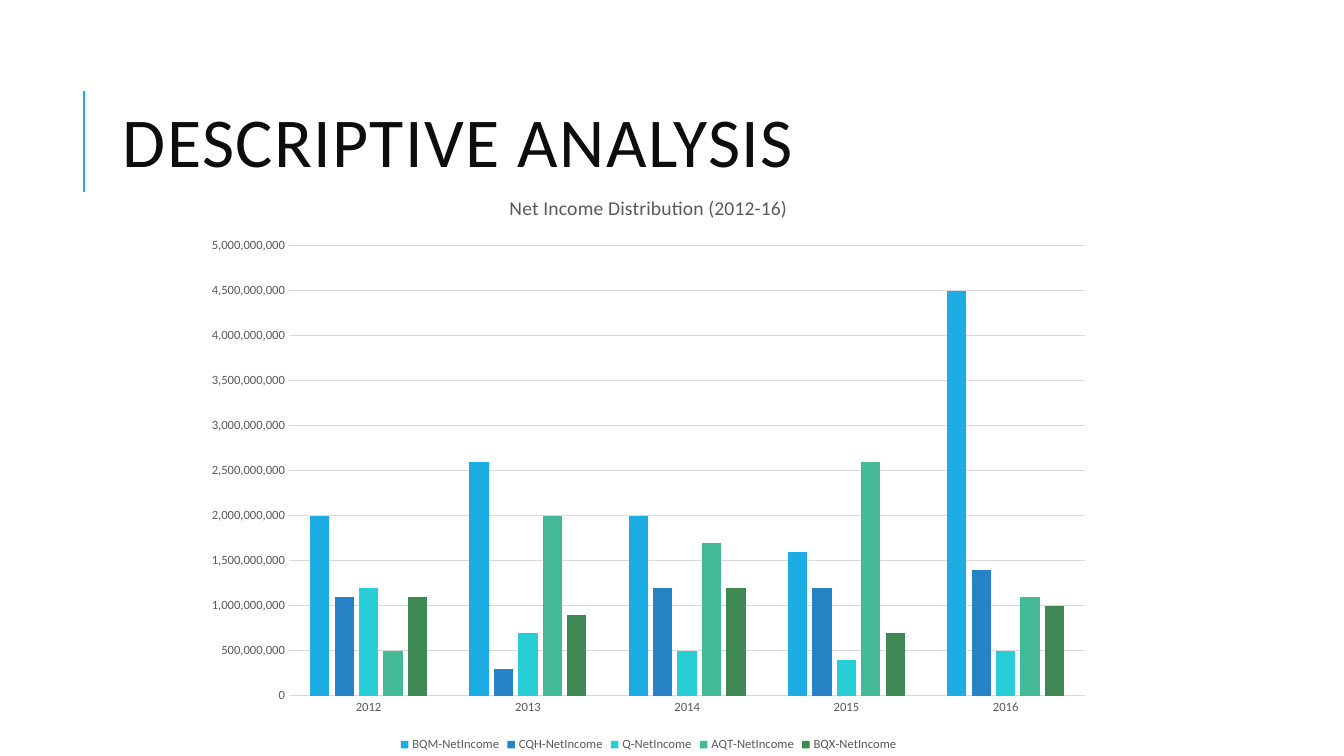
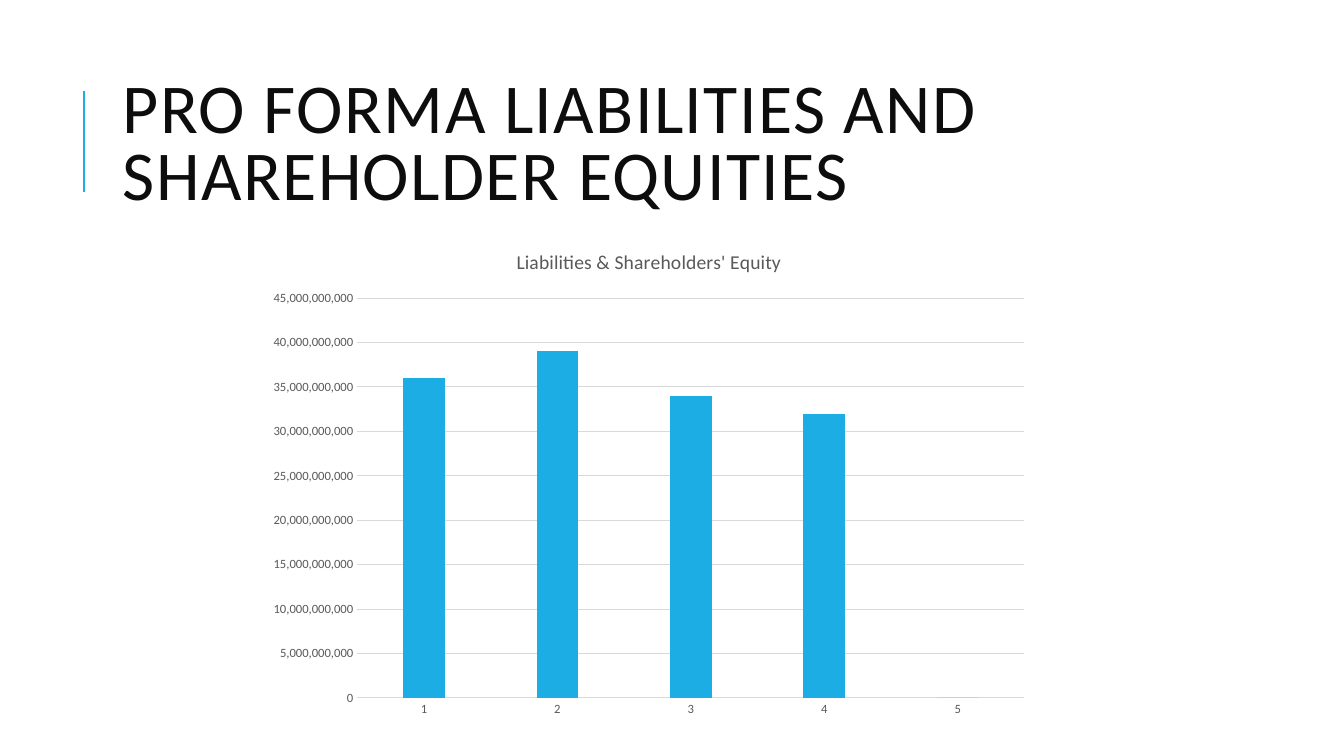
from dataclasses import dataclass

from lxml import etree
from pptx import Presentation
from pptx.chart.data import CategoryChartData
from pptx.dml.color import RGBColor
from pptx.enum import chart as ch, shapes, text
from pptx.oxml import ns
from pptx.util import Pt

INK = RGBColor(0x0D, 0x0D, 0x0D)
GREY = RGBColor(0x59, 0x59, 0x59)
RULE = RGBColor(0xD9, 0xD9, 0xD9)
BLUE = RGBColor(0x1C, 0xAD, 0xE4)
SERIES_COLORS = (
    BLUE,
    RGBColor(0x26, 0x83, 0xC6),
    RGBColor(0x27, 0xCE, 0xD7),
    RGBColor(0x42, 0xBA, 0x97),
    RGBColor(0x3E, 0x88, 0x53),
)
FONT = "Calibri"
MILLION = 1_000_000


@dataclass(frozen=True)
class Series:
    """One named row of values, in millions."""
    name: str
    millions: tuple[int, ...]


@dataclass(frozen=True)
class ChartSlide:
    """A heading with one column chart; the box is in points, the axis in millions."""
    heading: str
    chart_title: str
    box: tuple[float, float, float, float]
    categories: tuple[str, ...]
    series: tuple[Series, ...]
    axis_top: int
    axis_step: int


SLIDES = (
    ChartSlide(
        "DESCRIPTIVE ANALYSIS",
        "Net Income Distribution (2012-16)",
        (138.25, 124, 650, 416),
        ("2012", "2013", "2014", "2015", "2016"),
        (
            Series("BQM-NetIncome", (2000, 2600, 2000, 1600, 4500)),
            Series("CQH-NetIncome", (1100, 300, 1200, 1200, 1400)),
            Series("Q-NetIncome", (1200, 700, 500, 400, 500)),
            Series("AQT-NetIncome", (500, 2000, 1700, 2600, 1100)),
            Series("BQX-NetIncome", (1100, 900, 1200, 700, 1000)),
        ),
        5000,
        500,
    ),
    ChartSlide(
        "PRO FORMA LIABILITIES AND SHAREHOLDER EQUITIES",
        "Liabilities & Shareholders' Equity",
        (184.25, 164, 558.75, 355),
        ("1", "2", "3", "4", "5"),
        (Series("Liabilities & Shareholders' Equity", (36000, 39000, 34000, 32000, 0)),),
        45000,
        5000,
    ),
)


def style_font(font, size: float, color: RGBColor) -> None:
    """Set the shared typeface with a size and colour."""
    font.name = FONT
    font.size = Pt(size)
    font.bold = False
    font.color.rgb = color


def add_heading(slide, heading: str) -> None:
    """Place the title and the accent line to its left."""
    title = slide.shapes.title
    title.left, title.top, title.width, title.height = map(Pt, (80.5, 46, 765.5, 118))
    frame = title.text_frame
    frame.text = heading
    frame.word_wrap = True
    frame.auto_size = text.MSO_AUTO_SIZE.NONE
    frame.vertical_anchor = text.MSO_ANCHOR.MIDDLE
    paragraph = frame.paragraphs[0]
    paragraph.alignment = text.PP_ALIGN.LEFT
    paragraph.line_spacing = 0.8
    run = paragraph.runs[0]
    style_font(run.font, 50, INK)
    run._r.get_or_add_rPr().set("spc", "100")

    accent = slide.shapes.add_connector(
        shapes.MSO_CONNECTOR.STRAIGHT, Pt(60), Pt(137), Pt(60), Pt(65)
    )
    accent.line.color.rgb = BLUE
    accent.line.width = Pt(1.5)
    etree.SubElement(accent._element.spPr, ns.qn("a:effectLst"))


def style_axes(chart, content: ChartSlide) -> None:
    """Format both axes and the gridlines."""
    for axis in (chart.category_axis, chart.value_axis):
        axis.major_tick_mark = axis.minor_tick_mark = ch.XL_TICK_MARK.NONE
        style_font(axis.tick_labels.font, 9, GREY)
    values = chart.value_axis
    values.minimum_scale = 0
    values.maximum_scale = content.axis_top * MILLION
    values.major_unit = content.axis_step * MILLION
    values.tick_labels.number_format = "#,##0"
    values.tick_labels.number_format_is_linked = False
    values.format.line.fill.background()
    values.has_major_gridlines = True
    for line in (chart.category_axis.format.line, values.major_gridlines.format.line):
        line.color.rgb = RULE
        line.width = Pt(0.75)


def add_columns(slide, content: ChartSlide) -> None:
    """Add the clustered column chart."""
    data = CategoryChartData(number_format="#,##0")
    data.categories = content.categories
    for series in content.series:
        data.add_series(series.name, [value * MILLION for value in series.millions])
    chart = slide.shapes.add_chart(
        ch.XL_CHART_TYPE.COLUMN_CLUSTERED, *map(Pt, content.box), data
    ).chart
    style_font(chart.font, 10, GREY)

    chart.has_title = True
    caption = chart.chart_title.text_frame
    caption.text = content.chart_title
    style_font(caption.paragraphs[0].runs[0].font, 14, GREY)
    chart.chart_title.include_in_layout = False

    style_axes(chart, content)
    plot = chart.plots[0]
    plot.gap_width = 219
    plot.overlap = -27
    plot.vary_by_categories = False
    for series, color in zip(plot.series, SERIES_COLORS):
        series.invert_if_negative = False
        series.format.fill.solid()
        series.format.fill.fore_color.rgb = color

    chart.has_legend = len(content.series) > 1
    if chart.has_legend:
        chart.legend.position = ch.XL_LEGEND_POSITION.BOTTOM
        chart.legend.include_in_layout = False
        style_font(chart.legend.font, 9, GREY)


def main() -> None:
    """Build and save the presentation."""
    deck = Presentation()
    deck.slide_width, deck.slide_height = Pt(960), Pt(540)
    title_only = deck.slide_layouts.get_by_name("Title Only")
    for content in SLIDES:
        slide = deck.slides.add_slide(title_only)
        add_heading(slide, content.heading)
        add_columns(slide, content)
    deck.save("out.pptx")


if __name__ == "__main__":
    main()
